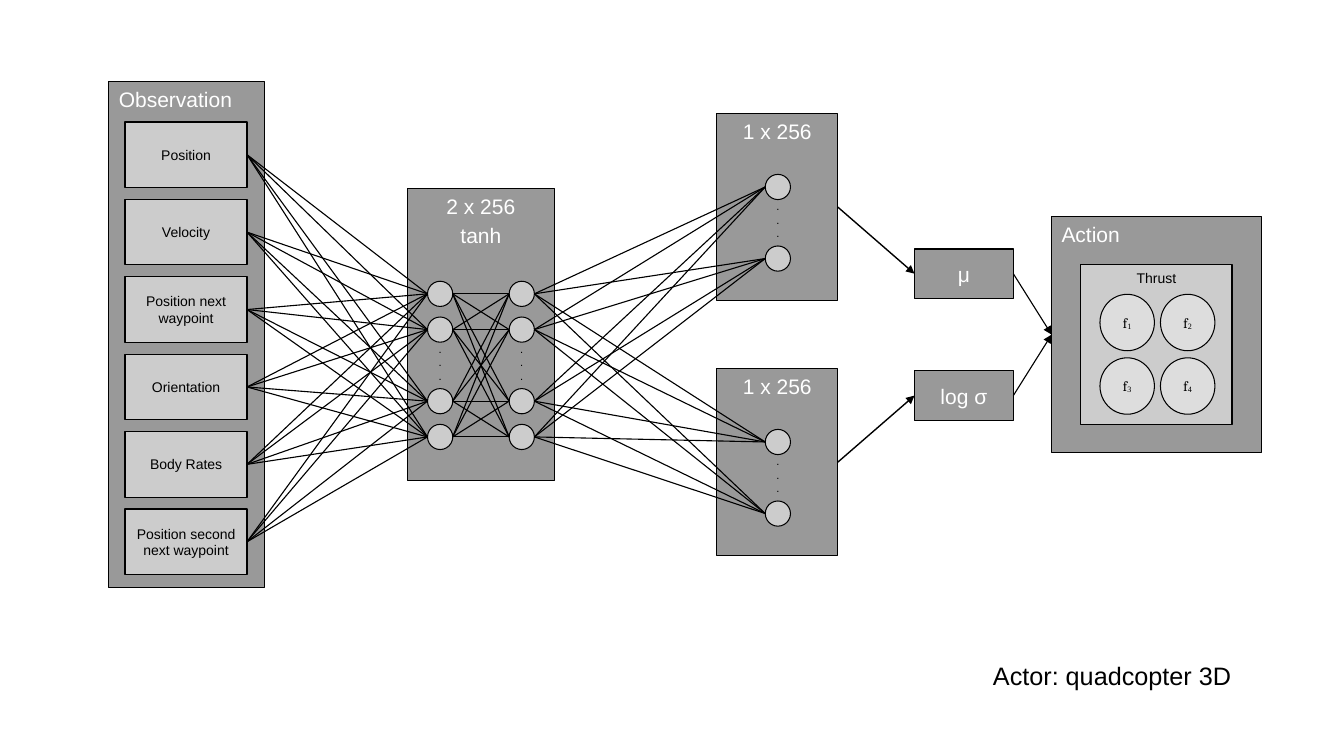
from itertools import product
from lxml import etree
from pptx import Presentation
from pptx import util as u
from pptx.dml.color import RGBColor
from pptx.enum import shapes, text
from pptx.oxml.ns import qn

BLACK = RGBColor(0x00, 0x00, 0x00)
WHITE = RGBColor(0xFF, 0xFF, 0xFF)
PANEL = RGBColor(0x99, 0x99, 0x99)
CARD = RGBColor(0xCC, 0xCC, 0xCC)
ROTOR = RGBColor(0xDD, 0xDD, 0xDD)

CAPTION = "Actor: quadcopter 3D"
OBSERVATIONS = ["Position", "Velocity", "Position next waypoint", "Orientation",
                "Body Rates", "Position second next waypoint"]
PANELS = [
    (["1 x 256"], "center", (7.11, 3.66, 1.2, 1.85)),
    (["1 x 256"], "center", (7.11, 1.13, 1.2, 1.85)),
    (["Observation"], "left", (1.08, 0.81, 1.54, 5.02)),
    (["2 x 256", "tanh"], "center", (4.04, 1.87, 1.46, 2.9)),
]
OUTPUTS = ["μ", "log σ"]
HIDDEN = {"columns": (4.24, 5.05), "top": 2.79, "rows": (0, 1, 3, 4), "gap_row": 1}
HEADS = {"column": 7.59, "tops": (1.73, 4.26), "rows": (0, 2), "gap_row": 0}
NEURON, NEURON_PITCH = 0.25, 0.355
CARD_X, CARD_Y, CARD_W, CARD_H, CARD_PITCH = 1.24, 1.21, 1.21, 0.65, 0.768
OUT_X, OUT_Y, OUT_W, OUT_H, OUT_PITCH = 9.07, 2.47, 0.98, 0.49, 1.21
ACTION = (10.43, 2.15, 2.08, 2.34)
THRUST = (10.72, 2.62, 1.5, 1.59)
ROTOR_X, ROTOR_Y, ROTOR_W, ROTOR_H = 10.91, 2.92, 0.54, 0.56
ROTOR_DX, ROTOR_DY = 0.6, 0.63

RECT, OVAL = shapes.MSO_SHAPE.RECTANGLE, shapes.MSO_SHAPE.OVAL
TOP, MIDDLE = text.MSO_ANCHOR.TOP, text.MSO_ANCHOR.MIDDLE
ALIGN = {"left": text.PP_ALIGN.LEFT, "center": text.PP_ALIGN.CENTER}

prs = Presentation()
prs.slide_width, prs.slide_height = u.Inches(13.33), u.Inches(7.5)
s = prs.slides.add_slide(prs.slide_layouts[6])


def inches(*values):
    return [u.Inches(v) for v in values]


def style(r, size, color, name="Arial"):
    for key, value in {"size": u.Pt(size), "name": name}.items():
        setattr(r.font, key, value)
    r.font.color.rgb = color


def write(sp, lines, size, color, align="center", anchor=TOP, before=0, inset=0.1):
    tf = sp.text_frame
    frame = {"word_wrap": True, "vertical_anchor": anchor,
             "margin_left": u.Inches(inset), "margin_right": u.Inches(inset),
             "margin_top": u.Inches(0.05), "margin_bottom": u.Inches(0.05)}
    for key, value in frame.items():
        setattr(tf, key, value)
    for i, line in enumerate(lines):
        p = tf.add_paragraph() if i else tf.paragraphs[0]
        p.alignment = ALIGN[align]
        if i and before:
            p.space_before = u.Pt(before)
        r = p.add_run()
        r.text = line
        style(r, size, color)
    return tf


def box(kind, at, fill, line=0.79):
    sp = s.shapes.add_shape(kind, *inches(*at))
    sp.shadow.inherit = False
    sp.fill.solid()
    sp.fill.fore_color.rgb = fill
    sp.line.color.rgb = BLACK
    sp.line.width = u.Pt(line)
    return sp


def link(start, end, width=0.79, arrow=False):
    c = s.shapes.add_connector(shapes.MSO_CONNECTOR.STRAIGHT, *inches(*start, *end))
    c.line.color.rgb = BLACK
    c.line.width = u.Pt(width)
    if arrow:
        etree.SubElement(c.line._get_or_add_ln(), qn("a:tailEnd"), type="triangle")
    etree.SubElement(c._element.spPr, qn("a:effectLst"))


def connect(sources, targets):
    for start, end in product(sources, targets):
        link(start, end)


def neurons(x, top, rows, gap_row):
    for row in rows:
        box(OVAL, (x, top + row * NEURON_PITCH, NEURON, NEURON), CARD, 0)
    dots_y = top + gap_row * NEURON_PITCH + 0.2
    dots = s.shapes.add_textbox(*inches(x, dots_y, NEURON, 0.54))
    write(dots, ["."] * 3, 8, BLACK, inset=0)
    ys = [top + row * NEURON_PITCH + NEURON / 2 for row in rows]
    return [(x, y) for y in ys], [(x + NEURON, y) for y in ys]


caption = s.shapes.add_textbox(*inches(9.75, 6.5, 2.75, 0.38))
write(caption, [CAPTION], 18, BLACK, "left")

for title, align, at in PANELS:
    write(box(RECT, at, PANEL), title, 15, WHITE, align, before=2.9)

observed = []
for i, name in enumerate(OBSERVATIONS):
    y = CARD_Y + i * CARD_PITCH
    write(box(RECT, (CARD_X, y, CARD_W, CARD_H), CARD), [name], 10, BLACK, anchor=MIDDLE)
    observed.append((CARD_X + CARD_W, y + CARD_H / 2))

(first_in, first_out), (second_in, second_out) = [
    neurons(x, HIDDEN["top"], HIDDEN["rows"], HIDDEN["gap_row"]) for x in HIDDEN["columns"]]
head_in = []
for top in HEADS["tops"]:
    head_in += neurons(HEADS["column"], top, HEADS["rows"], HEADS["gap_row"])[0]

connect(observed, first_in)
connect(first_out, second_in)
connect(second_out, head_in)

action_in = (ACTION[0], ACTION[1] + ACTION[3] / 2)
head_panels = sorted((at for _, _, at in PANELS[:2]), key=lambda at: at[1])
for i, (name, (x, y, w, h)) in enumerate(zip(OUTPUTS, head_panels)):
    top = OUT_Y + i * OUT_PITCH
    middle = top + OUT_H / 2
    write(box(RECT, (OUT_X, top, OUT_W, OUT_H), PANEL), [name], 15, WHITE, anchor=MIDDLE)
    link((x + w, y + h / 2), (OUT_X, middle), 1, True)
    link((OUT_X + OUT_W, middle), action_in, arrow=True)

write(box(RECT, ACTION, PANEL), ["Action"], 15, WHITE, "left")
write(box(RECT, THRUST, CARD), ["Thrust"], 10, BLACK)
for i in range(4):
    row, col = divmod(i, 2)
    at = (ROTOR_X + col * ROTOR_DX, ROTOR_Y + row * ROTOR_DY, ROTOR_W, ROTOR_H)
    p = write(box(OVAL, at, ROTOR, 0), ["f"], 10, BLACK, anchor=MIDDLE).paragraphs[0]
    style(p.runs[0], 10, BLACK, "Cambria")
    r = p.add_run()
    r.text = str(i + 1)
    style(r, 10, BLACK, "Times New Roman")
    r._r.get_or_add_rPr().set("baseline", "-8000")

prs.save("out.pptx")
